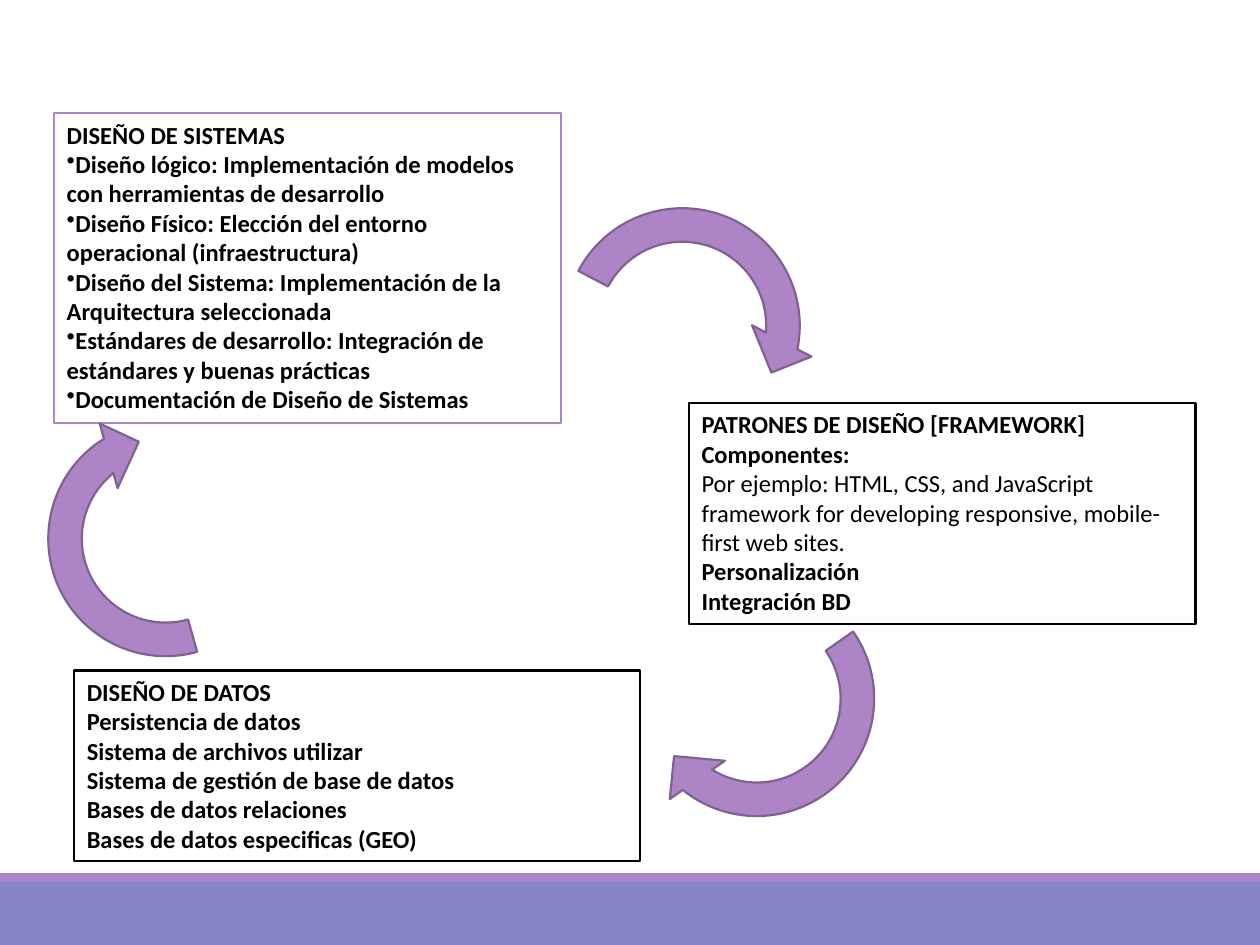
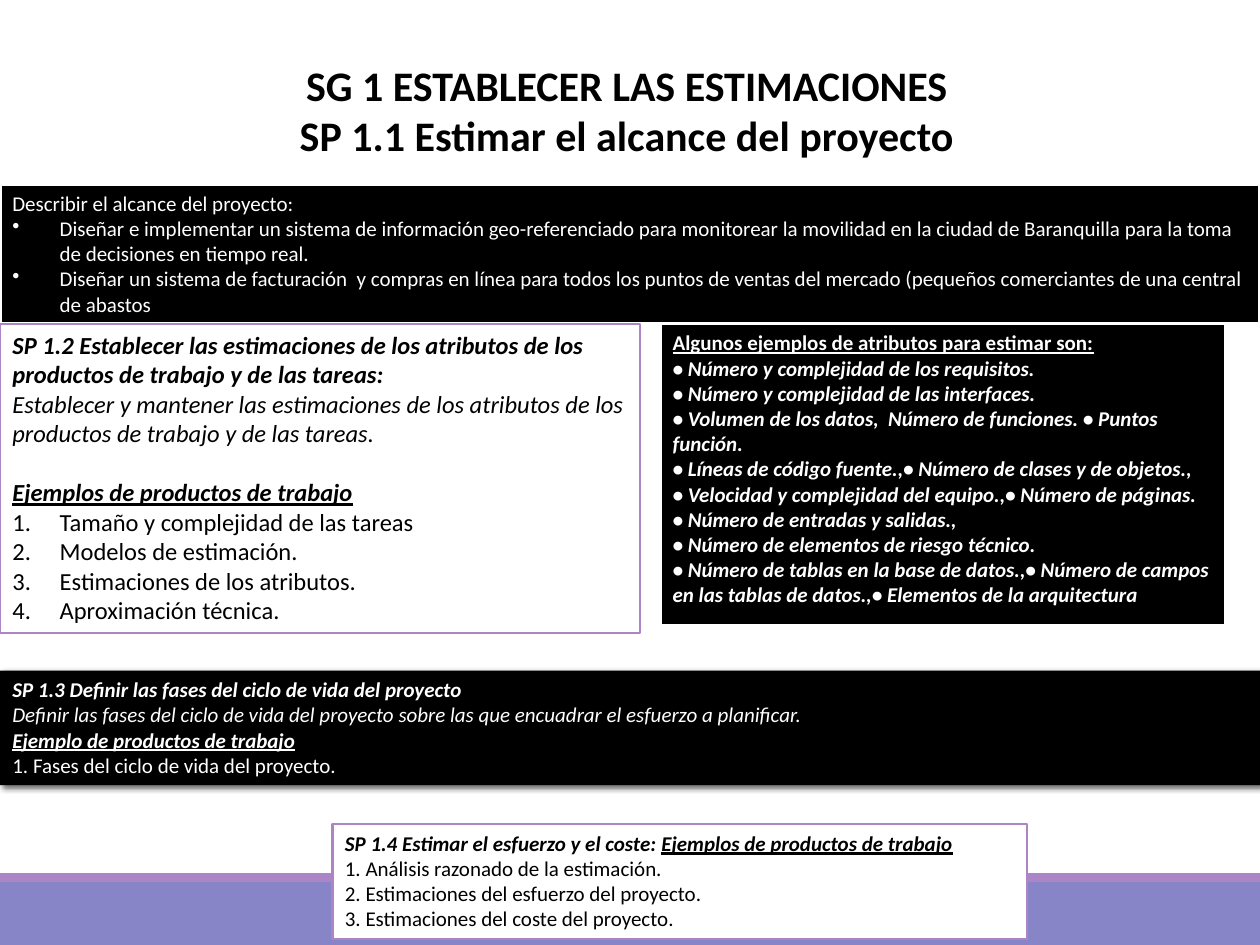
from dataclasses import dataclass
from typing import NamedTuple

from lxml import etree
from pptx import Presentation
from pptx.dml.color import RGBColor
from pptx.enum.shapes import MSO_SHAPE
from pptx.enum.text import MSO_ANCHOR, MSO_AUTO_SIZE, PP_ALIGN
from pptx.oxml.ns import qn
from pptx.util import Pt

RECTANGLE = MSO_SHAPE.RECTANGLE
CIRCULAR_ARROW = MSO_SHAPE.CIRCULAR_ARROW
TOP = MSO_ANCHOR.TOP
GROW = MSO_AUTO_SIZE.SHAPE_TO_FIT_TEXT
LEFT, CENTER = PP_ALIGN.LEFT, PP_ALIGN.CENTER
TITLE_ONLY, BLANK = 5, 6


@dataclass(frozen=True)
class Theme:
    font: str = "Calibri"
    title_size: float = 24
    large: float = 14
    small: float = 12
    black: str = "000000"
    white: str = "FFFFFF"
    purple: str = "AD84C6"
    dark_purple: str = "806292"
    footer: str = "8784C7"
    thin: float = 1.25
    thick: float = 2
    hanging: float = 27


THEME = Theme()


class Box(NamedTuple):
    left: float
    top: float
    width: float
    height: float

    def inner(self, dx, dy, width, height):
        return Box(self.left + dx, self.top + dy, width, height)


class Para(NamedTuple):
    """Text with style letters b, i, u; tail is a second underlined run."""
    text: str
    style: str = ""
    marker: str = ""
    hanging: float = 0
    before: float = 0
    tail: str = ""


SLIDE = Box(0, 0, 720, 540)


def place(shape, box):
    for name, value in box._asdict().items():
        setattr(shape, name, Pt(value))


def add_run(paragraph, text, style, size, color):
    run = paragraph.add_run()
    run.text = text
    font_format = {"name": THEME.font, "size": Pt(size), "bold": "b" in style,
                   "italic": "i" in style, "underline": "u" in style}
    for name, value in font_format.items():
        setattr(run.font, name, value)
    run.font.color.rgb = RGBColor.from_string(color)


def set_marker(paragraph, marker, hanging):
    properties = paragraph._p.get_or_add_pPr()
    properties.set("marL", str(Pt(hanging)))
    properties.set("indent", str(-Pt(hanging)))
    if marker == "1.":
        etree.SubElement(properties, qn("a:buAutoNum"), type="arabicPeriod")
    else:
        etree.SubElement(properties, qn("a:buChar"), char=marker)


def write_text(shape, paras, size, color, align=LEFT):
    frame = shape.text_frame
    frame_format = {"word_wrap": True, "auto_size": GROW, "vertical_anchor": TOP}
    for name, value in frame_format.items():
        setattr(frame, name, value)
    for index, para in enumerate(paras):
        paragraph = frame.add_paragraph() if index else frame.paragraphs[0]
        paragraph.alignment = align
        paragraph.space_before = Pt(para.before)
        if para.marker:
            set_marker(paragraph, para.marker, para.hanging)
        add_run(paragraph, para.text, para.style, size, color)
        if para.tail:
            add_run(paragraph, para.tail, para.style + "u", size, color)


def add_filled(slide, kind, box, fill, line=None, line_width=THEME.thin):
    shape = slide.shapes.add_shape(kind, *map(Pt, box))
    shape.shadow.inherit = False
    shape.fill.solid()
    shape.fill.fore_color.rgb = RGBColor.from_string(fill)
    if line:
        shape.line.color.rgb = RGBColor.from_string(line)
        shape.line.width = Pt(line_width)
    else:
        shape.line.fill.background()
    return shape


def light_panel(slide, box, paras, size, line=THEME.purple):
    panel = add_filled(slide, RECTANGLE, box, THEME.white, line)
    write_text(panel, paras, size, THEME.black)


def dark_panel(slide, box, paras, line=THEME.white):
    panel = add_filled(slide, RECTANGLE, box, THEME.black, line, THEME.thick)
    write_text(panel, paras, THEME.small, THEME.white)
    return panel


def cast_shadow(shape):
    effects = shape._element.spPr.find(qn("a:effectLst"))
    shadow = etree.SubElement(effects, qn("a:outerShdw"), blurRad=str(Pt(3.5)),
                              dist=str(Pt(2)), dir="2700000", rotWithShape="0")
    color = etree.SubElement(shadow, qn("a:srgbClr"), val=THEME.black)
    etree.SubElement(color, qn("a:alpha"), val="60000")


def footer_bands(slide, box):
    add_filled(slide, RECTANGLE, box.inner(0, 504, box.width, 36), THEME.footer)
    add_filled(slide, RECTANGLE, box.inner(0, 499, box.width, 5), THEME.purple)


# Slide 1: design cycle
def design_panels(slide, box):
    systems = [Para("DISEÑO DE SISTEMAS", "b")] + [
        Para(text, "b", "•") for text in (
            "Diseño lógico: Implementación de modelos con herramientas de desarrollo",
            "Diseño Físico: Elección del entorno operacional (infraestructura)",
            "Diseño del Sistema: Implementación de la Arquitectura seleccionada",
            "Estándares de desarrollo: Integración de estándares y buenas prácticas",
            "Documentación de Diseño de Sistemas")]
    patterns = [
        Para("PATRONES DE DISEÑO [FRAMEWORK]", "b"),
        Para("Componentes:", "b"),
        Para("Por ejemplo: HTML, CSS, and JavaScript framework for developing "
             "responsive, mobile-first web sites. "),
        Para("Personalización", "b"),
        Para("Integración BD", "b")]
    data = [Para(text, "b") for text in (
        "DISEÑO DE DATOS", "Persistencia de datos", "Sistema de archivos utilizar",
        "Sistema de gestión de base de datos", "Bases de datos relaciones",
        "Bases de datos especificas (GEO)")]
    for place_box, paras, line in (
            (box.inner(31, 64.8, 289.4, 177), systems, THEME.purple),
            (box.inner(393.8, 230.4, 289.4, 126), patterns, THEME.black),
            (box.inner(42.5, 383.2, 323.3, 109), data, THEME.black)):
        light_panel(slide, place_box, paras, THEME.large, line)


def cycle_arrows(slide, box, size=153.4):
    for center_x, center_y, rotation in ((389.9, 186.1, 27.8), (432.4, 399.2, 145.2),
                                         (94.7, 307.8, 254.5)):
        arrow_box = box.inner(center_x - size / 2, center_y - size / 2, size, size)
        arrow = add_filled(slide, CIRCULAR_ARROW, arrow_box, THEME.purple,
                           THEME.dark_purple)
        arrow.rotation = rotation


def design_cycle_slide(deck, box):
    slide = deck.slides.add_slide(deck.slide_layouts[BLANK])
    footer_bands(slide, box)
    design_panels(slide, box)
    cycle_arrows(slide, box)


# Slide 2: project estimates
def slide_title(slide, box, lines):
    title = slide.shapes.title
    place(title, box)
    write_text(title, [Para(line, "b") for line in lines], THEME.title_size,
               THEME.black, CENTER)


def scope_panel(slide, box):
    dark_panel(slide, box, [Para("Describir el alcance del proyecto:")] + [
        Para(text, "", "•", THEME.hanging) for text in (
            "Diseñar e implementar un sistema de información geo-referenciado para "
            "monitorear la movilidad en la ciudad de Baranquilla para la toma de "
            "decisiones en tiempo real.",
            "Diseñar un sistema de facturación  y compras en línea para todos los "
            "puntos de ventas del mercado (pequeños comerciantes de una central de "
            "abastos")])


def attributes_panel(slide, box):
    light_panel(slide, box, [
        Para("SP 1.2 Establecer las estimaciones de los atributos de los productos "
             "de trabajo y de las tareas: ", "bi"),
        Para("Establecer y mantener las estimaciones de los atributos de los "
             "productos de trabajo y de las tareas.", "i"),
        Para("Ejemplos de productos de trabajo", "biu", before=17)] + [
        Para(text, "", "1.", THEME.hanging) for text in (
            "Tamaño y complejidad de las tareas ", "Modelos de estimación.",
            "Estimaciones de los atributos.", "Aproximación técnica.")], THEME.large)


def examples_panel(slide, box):
    dark_panel(slide, box, [
        Para("Algunos ejemplos de atributos para estimar son:", "bu")] + [
        Para(text, "bi") for text in (
            "• Número y complejidad de los requisitos.",
            "• Número y complejidad de las interfaces.",
            "• Volumen de los datos,  Número de funciones. • Puntos función.",
            "• Líneas de código fuente.,• Número de clases y de objetos.,",
            "• Velocidad y complejidad del equipo.,• Número de páginas.",
            "• Número de entradas y salidas.,",
            "• Número de elementos de riesgo técnico.",
            "• Número de tablas en la base de datos.,• Número de campos en las "
            "tablas de datos.,• Elementos de la arquitectura")])


def phases_panel(slide, box):
    phases = dark_panel(slide, box, [
        Para("SP 1.3 Definir las fases del ciclo de vida del proyecto", "bi"),
        Para("Definir las fases del ciclo de vida del proyecto sobre las que "
             "encuadrar el esfuerzo a planificar.", "i"),
        Para("Ejemplo de productos de trabajo", "biu"),
        Para("1. Fases del ciclo de vida del proyecto.")], line=None)
    cast_shadow(phases)


def effort_panel(slide, box):
    light_panel(slide, box, [
        Para("SP 1.4 Estimar el esfuerzo y el coste: ", "bi",
             tail="Ejemplos de productos de trabajo"),
        Para("1. Análisis razonado de la estimación."),
        Para("2. Estimaciones del esfuerzo del proyecto."),
        Para("3. Estimaciones del coste del proyecto.")], THEME.small)


def estimates_slide(deck, box):
    slide = deck.slides.add_slide(deck.slide_layouts[TITLE_ONLY])
    footer_bands(slide, box)
    slide_title(slide, box.inner(20.9, 30.2, 674.6, 65.5),
                ("SG 1 ESTABLECER LAS ESTIMACIONES",
                 "SP 1.1 Estimar el alcance del proyecto"))
    scope_panel(slide, box.inner(0, 105.2, box.width, 79.8))
    attributes_panel(slide, box.inner(0, 185, 365.8, 177))
    examples_panel(slide, box.inner(377.3, 185, 323.3, 172.8))
    phases_panel(slide, box.inner(0, 383.2, box.width, 65.5))
    effort_panel(slide, box.inner(190, 470.9, 396.8, 65.5))


deck = Presentation()
deck.slide_width, deck.slide_height = Pt(SLIDE.width), Pt(SLIDE.height)
design_cycle_slide(deck, SLIDE)
estimates_slide(deck, SLIDE)
deck.save("out.pptx")
